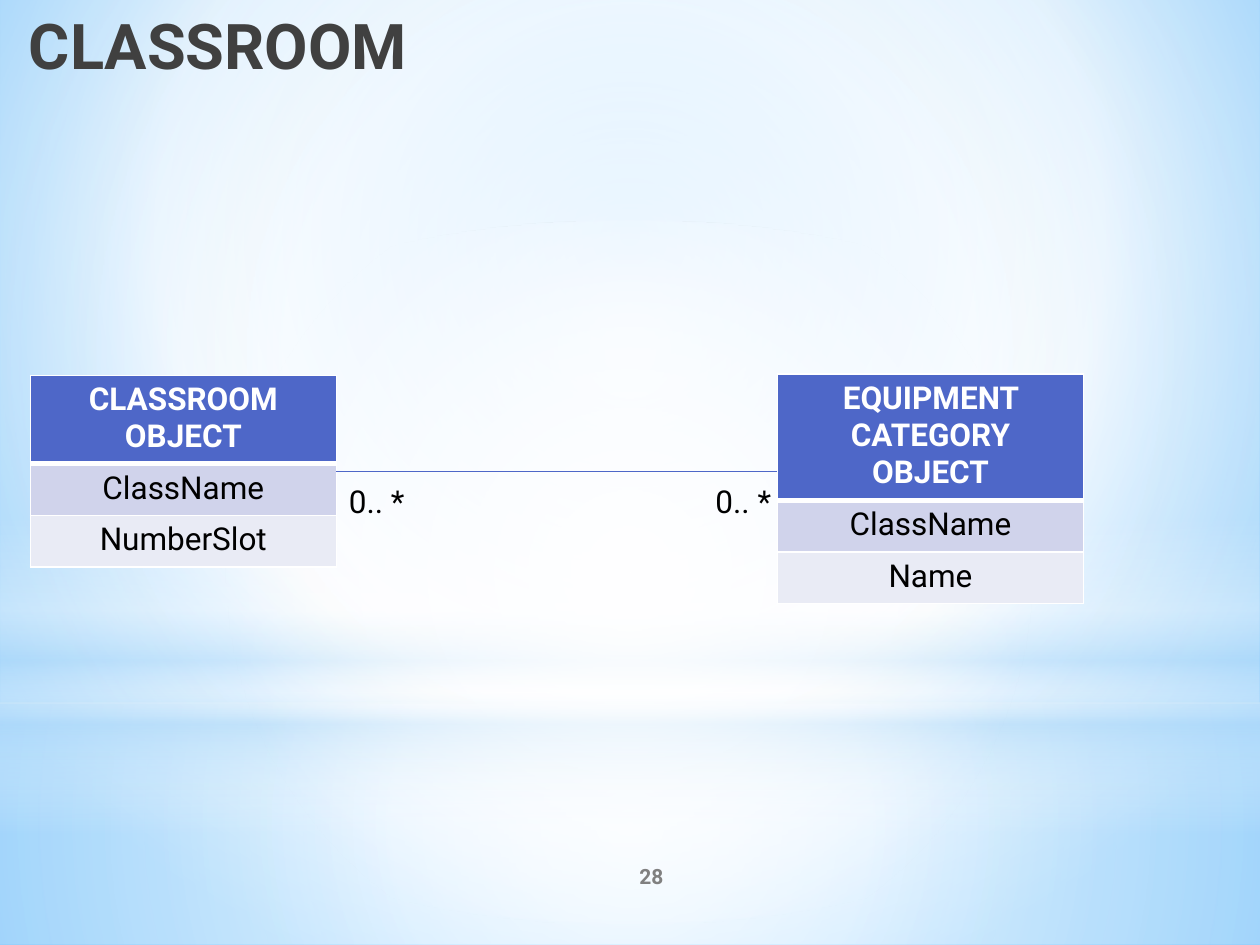
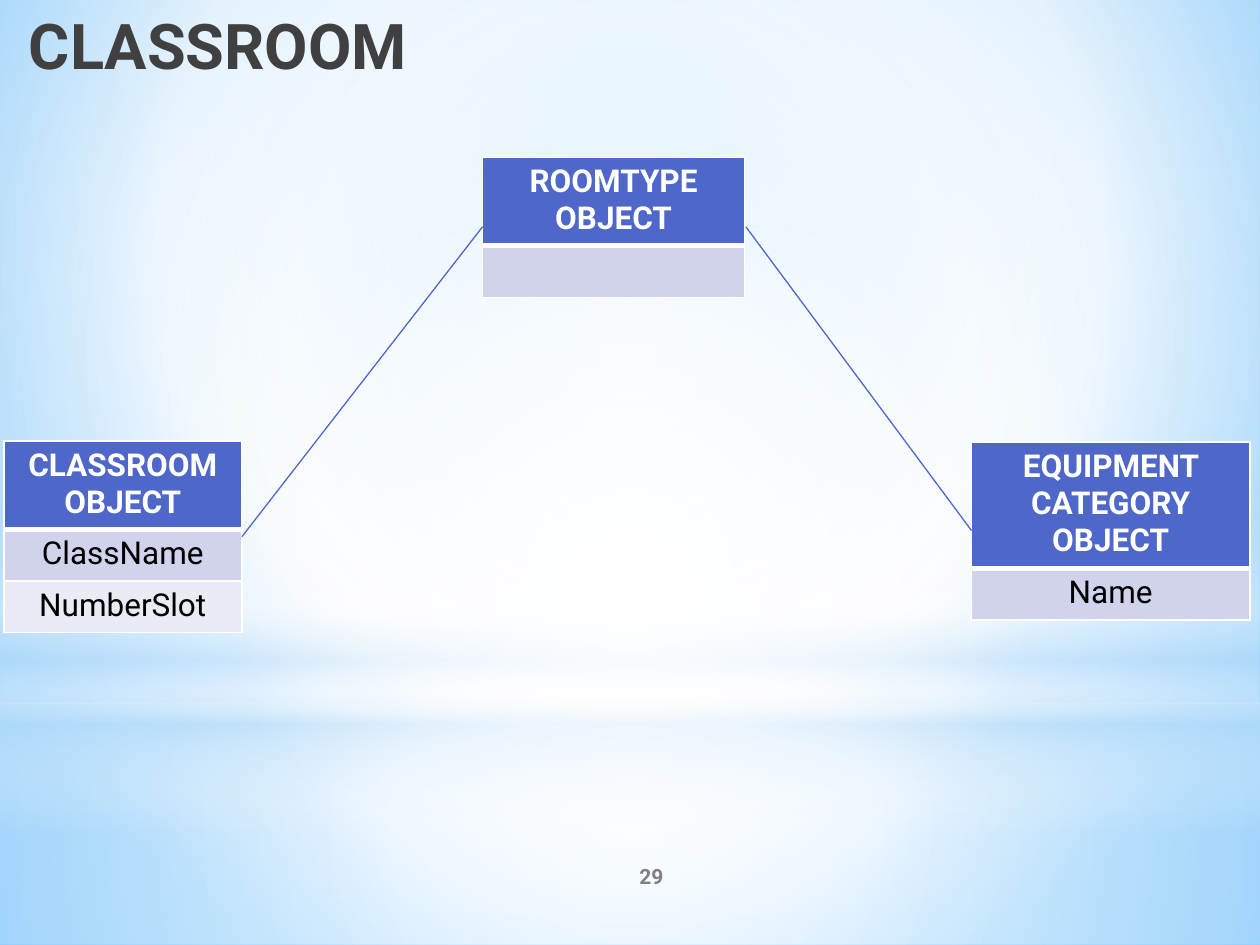
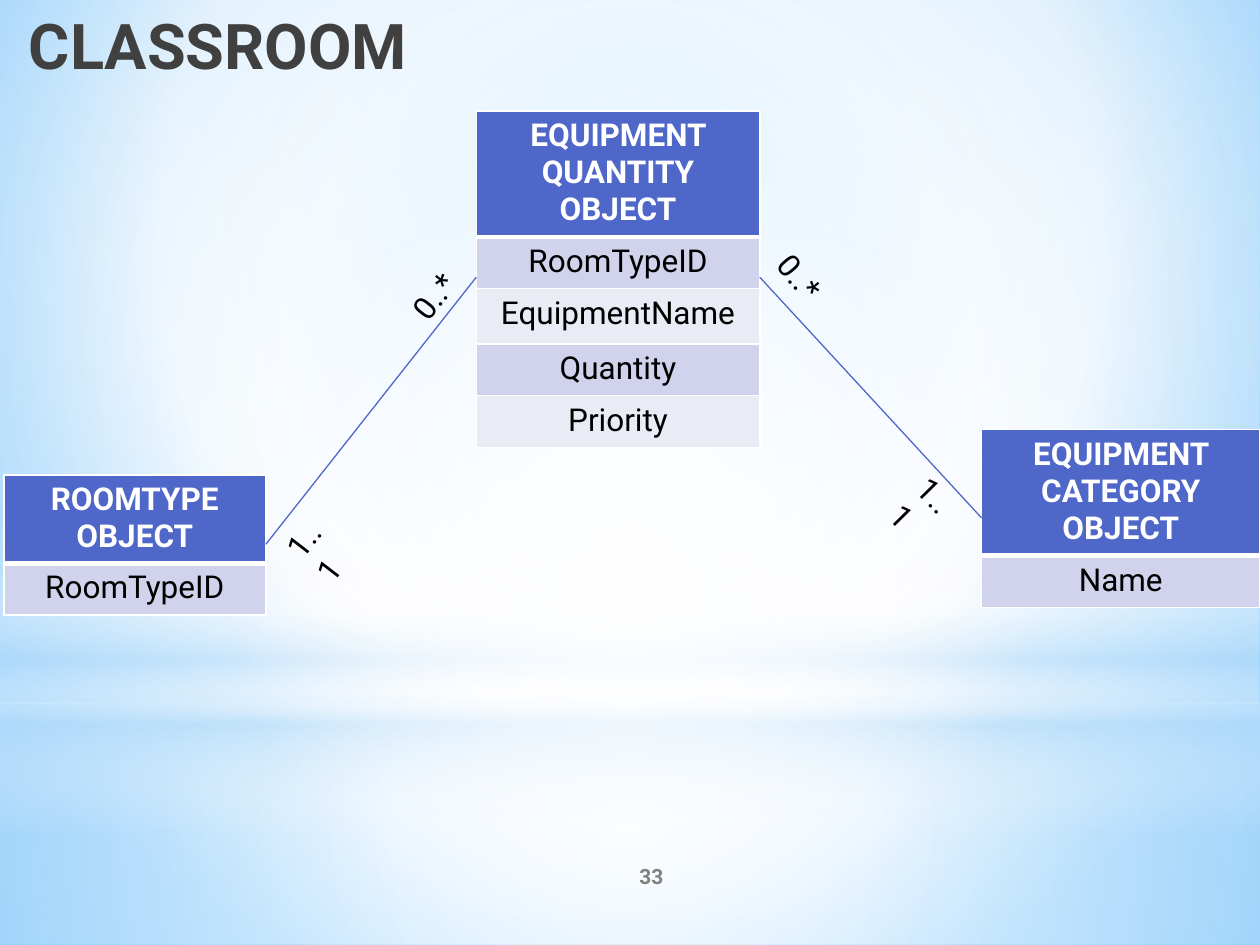
from dataclasses import dataclass

from lxml.etree import SubElement as Sub
from pptx import Presentation
from pptx.dml.color import RGBColor as Rgb
from pptx.enum.shapes import MSO_CONNECTOR as Link, MSO_SHAPE as Form
from pptx.enum.text import MSO_ANCHOR as Anchor, MSO_AUTO_SIZE as Fit, PP_ALIGN as Align
from pptx.oxml import parse_xml
from pptx.oxml.ns import nsdecls, qn
from pptx.util import Inches, Pt


@dataclass(frozen=True)
class Theme:
    font: str = "Roboto"
    title: int = 36
    body: int = 18
    small: int = 12
    blue: str = "4E67C8"
    sky: str = "B4DCFA"
    white: str = "FFFFFF"
    black: str = "000000"
    grey: str = "808080"
    dark: str = "404040"
    navy: str = "212745"
    rows: tuple = ("D0D3EB", "E9EBF5")
    thin: int = 1
    thick: int = 3
    line: float = 0.75


CENTER = (50, 50, 50, 50)


def make_grad(stops, rect=None):
    fill = parse_xml(f'<a:gradFill {nsdecls("a")} rotWithShape="1"/>')
    group = Sub(fill, qn("a:gsLst"))
    for pos, color, alpha in stops:
        stop = Sub(group, qn("a:gs"), pos=str(pos * 1000))
        tone = Sub(stop, qn("a:srgbClr"), val=color)
        if alpha < 100:
            Sub(tone, qn("a:alpha"), val=str(alpha * 1000))
    if rect:
        ring = Sub(fill, qn("a:path"), path="circle")
        sides = {side: str(part * 1000) for side, part in zip("ltrb", rect)}
        Sub(ring, qn("a:fillToRect"), **sides)
    else:
        Sub(fill, qn("a:lin"), ang="5400000", scaled="0")
    return fill


class Deck:
    def __init__(self, theme):
        self.theme = theme
        self.show = Presentation()
        self.show.slide_width = Inches(10)
        self.show.slide_height = Inches(7.5)
        self.base = self.show.slide_layouts[6]
        self.slide = None

    def start(self, number):
        self.slide = self.show.slides.add_slide(self.base)
        if number == 28:
            self.dress()
        self.text(number, 4.17, 6.75, 2, 0.4, size=self.theme.small,
                  color=self.theme.grey, bold=True, align=Align.CENTER,
                  anchor=Anchor.MIDDLE)

    def dress(self):
        t = self.theme
        back = self.base.background.fill
        back.solid()
        solid = self.base.element.xpath(".//p:bgPr/a:solidFill")[0]
        stops = [(0, "9ED5FF", 100), (60, t.white, 100), (100, "5BB9FF", 100)]
        solid.getparent().replace(solid, make_grad(stops, (20, 10, 20, 60)))
        self.band(5.58, 1.92, [(0, t.white, 91), (37, t.white, 76), (100, t.sky, 79)], CENTER)
        self.band(0, 5.58, [(0, t.white, 89), (48, t.white, 62), (100, t.sky, 79)], CENTER)
        self.band(4.12, 2.5, [(0, t.white, 0), (29, t.white, 30), (45, t.sky, 40),
                              (55, t.white, 26), (65, t.sky, 60), (100, t.white, 0)])
        self.band(1.75, 5.58, [(0, t.white, 100), (56, t.white, 0)], CENTER, Form.OVAL)

    def band(self, top, height, stops, rect=None, form=Form.RECTANGLE):
        shape = self.slide.shapes.add_shape(form, 0, Inches(top), Inches(10), Inches(height))
        shape.shadow.inherit = False
        shape.line.fill.background()
        shape.fill.solid()
        solid = shape.element.spPr.find(qn("a:solidFill"))
        solid.getparent().replace(solid, make_grad(stops, rect))
        self.base.shapes.element.append(shape.element)

    def style(self, para, size, color, bold=False, align=None):
        para.alignment = align
        for run in para.runs:
            run.font.name = self.theme.font
            run.font.size = Pt(size)
            run.font.bold = bold
            run.font.color.rgb = Rgb.from_string(color)

    def text(self, words, left, top, width, height, size=None, color=None,
             bold=False, align=None, anchor=Anchor.TOP):
        box = self.slide.shapes.add_textbox(
            Inches(left), Inches(top), Inches(width), Inches(height))
        frame = box.text_frame
        frame.word_wrap = True
        frame.vertical_anchor = anchor
        frame.text = str(words)
        self.style(frame.paragraphs[0], size or self.theme.body,
                   color or self.theme.black, bold, align)
        return box

    def title(self, words):
        t = self.theme
        box = self.text(words, 0, 0, 3.33, 0.88, t.title, t.dark, True, Align.RIGHT)
        solid = box.element.xpath(".//a:rPr/a:solidFill")[0]
        stops = [(0, t.black, 100), (40, t.dark, 100), (100, t.navy, 65)]
        solid.getparent().replace(solid, make_grad(stops))

    def label(self, words, left, top, width=0.75, turn=0):
        box = self.text(words, left, top, width, 0.4)
        box.text_frame.auto_size = Fit.SHAPE_TO_FIT_TEXT
        if turn:
            box.rotation = turn
            box.text_frame.word_wrap = False

    def edge(self, cell, top, bottom):
        props = cell._tc.get_or_add_tcPr()
        widths = {"L": self.theme.thin, "R": self.theme.thin, "T": top, "B": bottom}
        for spot, (side, width) in enumerate(widths.items()):
            props.insert(spot, parse_xml(
                f'<a:ln{side} {nsdecls("a")} w="{Pt(width)}"><a:solidFill>'
                f'<a:srgbClr val="{self.theme.white}"/></a:solidFill></a:ln{side}>'))

    def table(self, words, left, top, width, height, tall=None):
        t = self.theme
        frame = self.slide.shapes.add_table(
            len(words), 1, Inches(left), Inches(top), Inches(width), Inches(height))
        grid = frame.table
        for i, word in enumerate(words):
            grid.rows[i].height = Inches((tall or {}).get(i, 0.41))
            cell = grid.cell(i, 0)
            head = i == 0
            cell.text = word
            self.style(cell.text_frame.paragraphs[0], t.body,
                       t.white if head else t.black, head, Align.CENTER)
            cell.fill.solid()
            cell.fill.fore_color.rgb = Rgb.from_string(t.blue if head else t.rows[(i - 1) % 2])
            self.edge(cell, t.thick if i == 1 else t.thin, t.thick if head else t.thin)
        frame.height = Inches(height)

    def line(self, x1, y1, x2, y2):
        link = self.slide.shapes.add_connector(
            Link.STRAIGHT, Inches(x1), Inches(y1), Inches(x2), Inches(y2))
        link.line.color.rgb = Rgb.from_string(self.theme.blue)
        link.line.width = Pt(self.theme.line)
        Sub(link.element.spPr, qn("a:effectLst"))


ROOM = ["CLASSROOM OBJECT", "ClassName", "NumberSlot"]
TYPE = "ROOMTYPE OBJECT"
GEAR = "EQUIPMENT CATEGORY OBJECT"
STOCK = ["EQUIPMENT QUANTITY OBJECT", "RoomTypeID", "EquipmentName", "Quantity", "Priority"]


def draw_pair(deck):
    deck.start(28)
    deck.table(ROOM, 0.24, 2.98, 2.43, 1.51)
    deck.table([GEAR, "ClassName", "Name"], 6.17, 2.97, 2.43, 1.53, {0: 0.72})
    deck.line(2.67, 3.74, 6.17, 3.74)
    for left in (5.58, 2.67):
        deck.label("0.. *", left, 3.78)
    deck.title("CLASSROOM")


def draw_type(deck):
    deck.start(29)
    deck.table([TYPE, ""], 3.83, 1.25, 2.08, 1.11)
    deck.table(ROOM, 0.03, 3.5, 1.89, 1.51)
    deck.line(1.92, 4.26, 3.83, 1.8)
    deck.table([GEAR, "Name"], 7.71, 3.51, 2.21, 1.41)
    deck.line(5.92, 1.8, 7.71, 4.21)
    deck.title("CLASSROOM")


def draw_stock(deck):
    deck.start(33)
    deck.table([TYPE, "RoomTypeID"], 0.03, 3.77, 2.08, 1.11)
    deck.table([GEAR, "Name"], 7.79, 3.41, 2.21, 1.41)
    deck.table(STOCK, 3.78, 0.88, 2.25, 2.66, {2: 0.44})
    deck.line(2.11, 4.32, 3.78, 2.2)
    deck.line(6.03, 2.2, 7.79, 4.11)
    for words, left, top, turn in (("1..1", 2.15, 4.04, 307.6), ("0..*", 3.15, 2.15, 308),
                                   ("0..*", 6.06, 2, 49.9), ("1..1", 7.17, 3.77, 45.4)):
        deck.label(words, left, top, 0.58, turn)
    deck.title("CLASSROOM")


def main():
    deck = Deck(Theme())
    for draw in (draw_pair, draw_type, draw_stock):
        draw(deck)
    deck.show.save("out.pptx")


if __name__ == "__main__":
    main()
